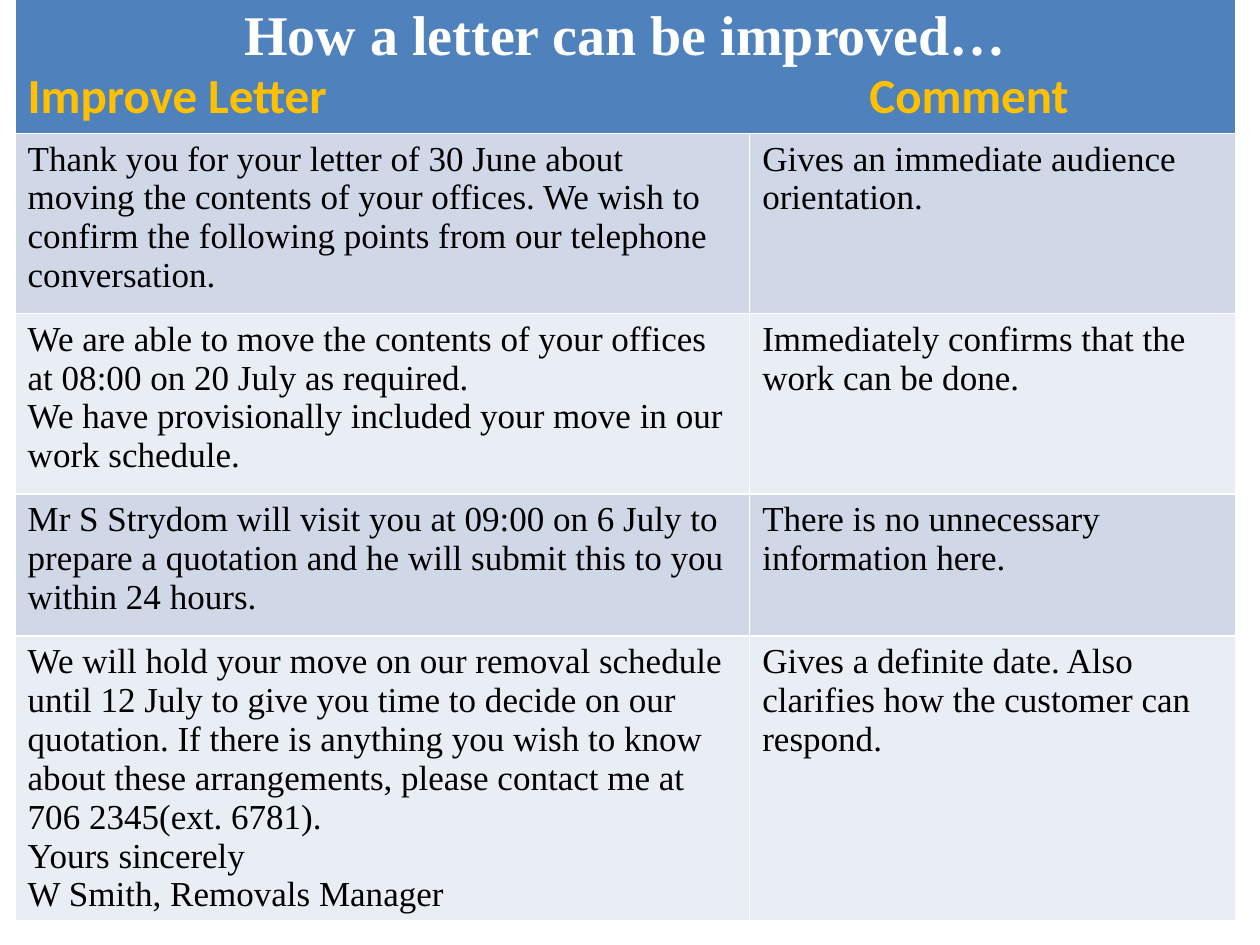
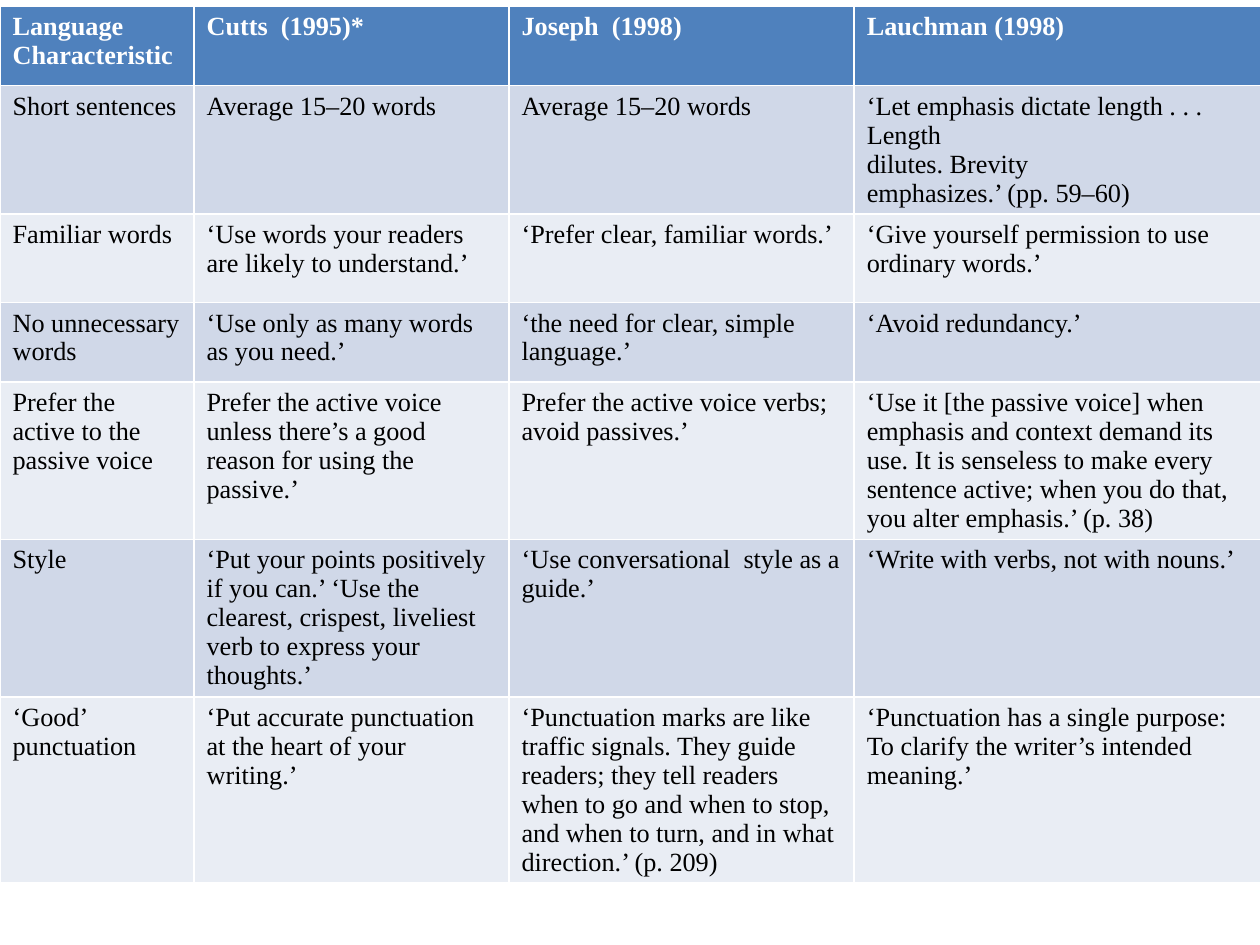
import pptx
import pptx.util
import pptx.dml.color
import pptx.enum.text
import lxml.etree
import pptx.oxml.ns

COLORS = {"header": "4F81BD", "odd": "D0D8E8", "even": "E9EDF4",
          "heading": "FFFFFF", "subheading": "FFC000", "body": "000000"}
SERIF, SANS = "Times New Roman", "Calibri"
SLIDE_WIDTH, SLIDE_HEIGHT = 10, 7.5
COMMENT_TAB = 6.68

LETTER_TITLE = "How a letter can be improved…"
LETTER_HEADINGS = ("Improve Letter", "Comment")
LETTER_ROWS = [
    ("Thank you for your letter of 30 June about moving the contents of your offices. "
     "We wish to confirm the following points from our telephone conversation.",
     "Gives an immediate audience orientation."),
    ("We are able to move the contents of your offices at 08:00 on 20 July as required.\n"
     "We have provisionally included your move in our work schedule.",
     "Immediately confirms that the work can be done."),
    ("Mr S Strydom will visit you at 09:00 on 6 July to prepare a quotation and he will "
     "submit this to you within 24 hours.",
     "There is no unnecessary information here."),
    ("We will hold your move on our removal schedule until 12 July to give you time to "
     "decide on our quotation. If there is anything you wish to know about these "
     "arrangements, please contact me at 706 2345(ext. 6781).\n"
     "Yours sincerely\nW Smith, Removals Manager",
     "Gives a definite date. Also clarifies how the customer can respond."),
]
LETTER_GRID = {"left": 0.12, "top": -0.01, "columns": (5.83, 3.86),
               "heights": (1.05, 1.43, 1.43, 1.13, 2.24)}

STYLE_HEADINGS = ("Language Characteristic", "Cutts  (1995)*", "Joseph  (1998)",
                  "Lauchman (1998)")
STYLE_ROWS = [
    ("Short sentences", "Average 15–20 words", "Average 15–20 words",
     "‘Let emphasis dictate length . . . Length\ndilutes. Brevity\n"
     "emphasizes.’ (pp. 59–60)"),
    ("Familiar words", "‘Use words your readers are likely to understand.’",
     "‘Prefer clear, familiar words.’",
     "‘Give yourself permission to use ordinary words.’"),
    ("No unnecessary words", "‘Use only as many words as you need.’",
     "‘the need for clear, simple language.’", "‘Avoid redundancy.’"),
    ("Prefer the active to the passive voice",
     "Prefer the active voice unless there’s a good reason for using the passive.’",
     "Prefer the active voice verbs; avoid passives.’",
     "‘Use it [the passive voice] when emphasis and context demand its use. It is "
     "senseless to make every sentence active; when you do that, you alter "
     "emphasis.’ (p. 38)"),
    ("Style",
     "‘Put your points positively if you can.’ ‘Use the clearest, crispest, "
     "liveliest verb to express your thoughts.’",
     "‘Use conversational  style as a guide.’", "‘Write with verbs, not with nouns.’"),
    ("‘Good’ punctuation",
     "‘Put accurate punctuation at the heart of your writing.’",
     "‘Punctuation marks are like traffic signals. They guide readers; they tell readers "
     "when to go and when to stop, and when to turn, and in what direction.’ (p. 209)",
     "‘Punctuation has a single purpose: To clarify the writer’s intended meaning.’"),
]
STYLE_GRID = {"left": 0, "top": 0.05, "columns": (1.54, 2.5, 2.74, 3.23),
              "heights": (0.63, 1.01, 0.7, 0.63, 1.25, 1.25, 1.47)}


def rgb(name):
    return pptx.dml.color.RGBColor.from_string(COLORS[name])


def write(paragraph, text, size, color="body", font=SERIF, bold=False, align="LEFT"):
    paragraph.alignment = getattr(pptx.enum.text.PP_ALIGN, align)
    run = paragraph.add_run()
    run.text = text
    run.font.size = pptx.util.Pt(size)
    run.font.name = font
    run.font.bold = bold
    run.font.color.rgb = rgb(color)


def write_cell(cell, text, **text_format):
    frame = cell.text_frame
    for index, line in enumerate(text.split("\n")):
        paragraph = frame.add_paragraph() if index else frame.paragraphs[0]
        write(paragraph, line, **text_format)


def add_tab_stop(paragraph, inches):
    qn = pptx.oxml.ns.qn
    stops = lxml.etree.SubElement(paragraph._p.get_or_add_pPr(), qn("a:tabLst"))
    lxml.etree.SubElement(stops, qn("a:tab"),
                          pos=str(pptx.util.Inches(inches)), algn="l")


def add_grid(slide, body_rows, size, left, top, columns, heights):
    box = [pptx.util.Inches(n) for n in (left, top, sum(columns), sum(heights))]
    grid = slide.shapes.add_table(len(heights), len(columns), *box).table
    for column, width in zip(grid.columns, columns):
        column.width = pptx.util.Inches(width)
    for number, (row, height) in enumerate(zip(grid.rows, heights)):
        row.height = pptx.util.Inches(height)
        band = "header" if number == 0 else "odd" if number % 2 else "even"
        for cell in row.cells:
            cell.fill.solid()
            cell.fill.fore_color.rgb = rgb(band)
    for number, texts in enumerate(body_rows, start=1):
        for column, text in enumerate(texts):
            write_cell(grid.cell(number, column), text, size=size)
    return grid


deck = pptx.Presentation()
deck.slide_width = pptx.util.Inches(SLIDE_WIDTH)
deck.slide_height = pptx.util.Inches(SLIDE_HEIGHT)
blank = deck.slide_layouts[6]

letter = add_grid(deck.slides.add_slide(blank), LETTER_ROWS, 20, **LETTER_GRID)
banner = letter.cell(0, 0)
banner.merge(letter.cell(0, 1))
write_cell(banner, LETTER_TITLE, size=32, color="heading", bold=True, align="CENTER")
headings = banner.text_frame.add_paragraph()
write(headings, "\t".join(LETTER_HEADINGS), size=28, color="subheading",
      font=SANS, bold=True)
add_tab_stop(headings, COMMENT_TAB)

styles = add_grid(deck.slides.add_slide(blank), STYLE_ROWS, 15, **STYLE_GRID)
for column, heading in enumerate(STYLE_HEADINGS):
    write_cell(styles.cell(0, column), heading, size=15, color="heading", bold=True)

deck.save("out.pptx")
